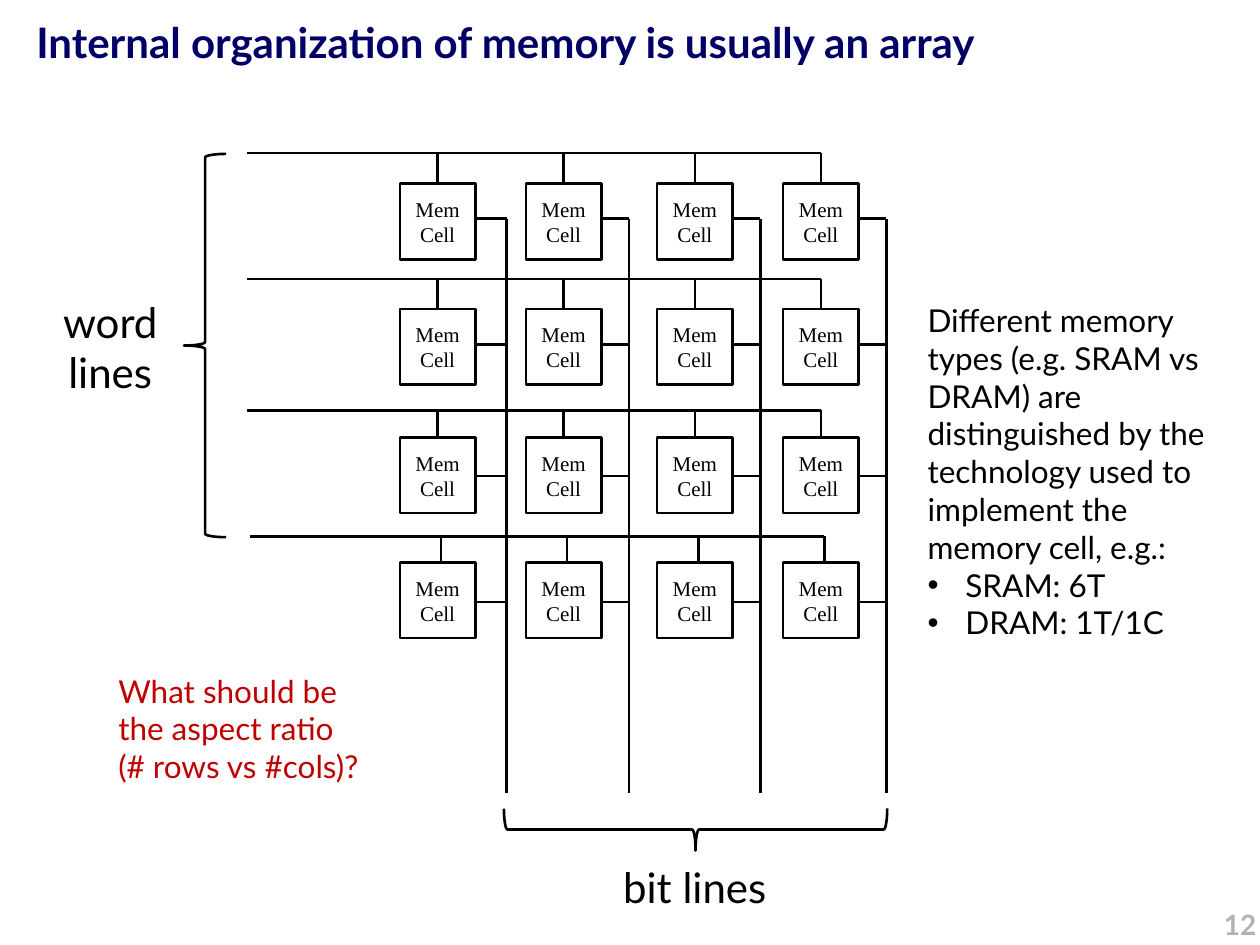
from lxml import etree
from pptx import Presentation
from pptx.dml.color import RGBColor
from pptx.enum.shapes import MSO_CONNECTOR, MSO_SHAPE
from pptx.enum.text import MSO_ANCHOR, PP_ALIGN
from pptx.oxml.ns import qn
from pptx.util import Pt

LEFT, CENTER, RIGHT = PP_ALIGN.LEFT, PP_ALIGN.CENTER, PP_ALIGN.RIGHT
MIDDLE = MSO_ANCHOR.MIDDLE
RECTANGLE, LEFT_BRACE = MSO_SHAPE.RECTANGLE, MSO_SHAPE.LEFT_BRACE
STRAIGHT = MSO_CONNECTOR.STRAIGHT
color = RGBColor.from_string
BLACK, WHITE = "000000", "FFFFFF"
WIRE_WIDTH = Pt(1.5)

prs = Presentation()
prs.slide_width, prs.slide_height = Pt(720), Pt(540)
slide = prs.slides.add_slide(prs.slide_layouts[6])


def write(frame, lines, size, ink=BLACK, align=LEFT, bold=False, font="Lato"):
    """Fill a text frame with one paragraph per line; '• ' starts a bullet."""
    frame.word_wrap = True
    for i, line in enumerate(lines):
        paragraph = frame.paragraphs[0] if i == 0 else frame.add_paragraph()
        paragraph.text = line.removeprefix("• ")
        paragraph.alignment = align
        if line.startswith("• "):
            properties = paragraph._p.get_or_add_pPr()
            properties.set("marL", str(Pt(21.6)))
            properties.set("indent", str(-Pt(21.6)))
            etree.SubElement(properties, qn("a:buFont"), typeface="Arial")
            etree.SubElement(properties, qn("a:buChar"), char="•")
        paragraph.font.name = font
        paragraph.font.size = Pt(size)
        paragraph.font.bold = bold
        paragraph.font.color.rgb = color(ink)


def add_wire(x1, y1, x2, y2):
    wire = slide.shapes.add_connector(STRAIGHT, Pt(x1), Pt(y1), Pt(x2), Pt(y2))
    wire.line.color.rgb = color(BLACK)
    wire.line.width = WIRE_WIDTH
    etree.SubElement(wire._element.spPr, qn("a:effectLst"))


# Memory array: word lines run across, bit lines run down
cell_size = 43.2
cell_lefts = [228.5, 300.5, 375.5, 447.5]
cell_tops = [105, 176.5, 250, 321.5]
word_line_ys = [87.5, 159.5, 234.5, 306.5]
bit_line_xs = [289.5, 359.5, 434.5, 506.5]
last_row_shifts = [0, 0, 0, 2]
bit_tap_drop = 37.5

for word_y, shift in zip(word_line_ys, last_row_shifts):
    add_wire(141 + shift, word_y, 469.1 + shift, word_y)
    for cell_left in cell_lefts:
        tap_x = cell_left + cell_size / 2 + shift
        add_wire(tap_x, word_y, tap_x, word_y + 18)

for cell_left, bit_x in zip(cell_lefts, bit_line_xs):
    add_wire(bit_x, word_line_ys[0] + bit_tap_drop, bit_x, 453)
    for word_y in word_line_ys:
        tap_y = word_y + bit_tap_drop
        add_wire(cell_left + cell_size, tap_y, bit_x, tap_y)

for cell_top in cell_tops:
    for cell_left in cell_lefts:
        cell = slide.shapes.add_shape(RECTANGLE, Pt(cell_left), Pt(cell_top),
                                      Pt(cell_size), Pt(cell_size))
        cell.shadow.inherit = False
        cell.fill.solid()
        cell.fill.fore_color.rgb = color(WHITE)
        cell.line.color.rgb = color(BLACK)
        cell.line.width = WIRE_WIDTH
        cell.text_frame.vertical_anchor = MIDDLE
        write(cell.text_frame, ["Mem", "Cell"], 12, align=CENTER,
              font="Times New Roman")

# Braces spanning the word lines and the bit lines
for brace_left, brace_top, rotation in [(105.2, 88, 0), (385.5, 364.5, 270)]:
    brace = slide.shapes.add_shape(LEFT_BRACE, Pt(brace_left), Pt(brace_top),
                                   Pt(24), Pt(219))
    brace.rotation = rotation
    brace.shadow.inherit = False
    brace.fill.background()
    brace.line.color.rgb = color(BLACK)
    brace.line.width = WIRE_WIDTH

# Title, labels and remarks
memory_types = [
    "Different memory", "types (e.g. SRAM vs", "DRAM) are",
    "distinguished by the", "technology used to", "implement the",
    "memory cell, e.g.:", "• SRAM: 6T", "• DRAM: 1T/1C",
]
aspect_question = ["What should be", "the aspect ratio", "(# rows vs #cols)?"]
title = ["Internal organization of memory is usually an array"]

for left, top, width, height, lines, size, ink, align, bold in [
    (13.7, 5.8, 699, 72, title, 24, "000066", LEFT, True),
    (22, 165.6, 82, 65, ["word", "lines"], 24, BLACK, CENTER, False),
    (343, 489, 108, 36, ["bit lines"], 24, BLACK, CENTER, False),
    (523, 168.5, 191, 202, memory_types, 18, BLACK, LEFT, False),
    (60.5, 380.2, 162, 72, aspect_question, 18, "C00000", LEFT, False),
    (497, 515, 228, 36, ["12"], 16, "B2B2B2", RIGHT, True),
]:
    label = slide.shapes.add_textbox(Pt(left), Pt(top), Pt(width), Pt(height))
    write(label.text_frame, lines, size, ink, align, bold)

prs.save("out.pptx")
